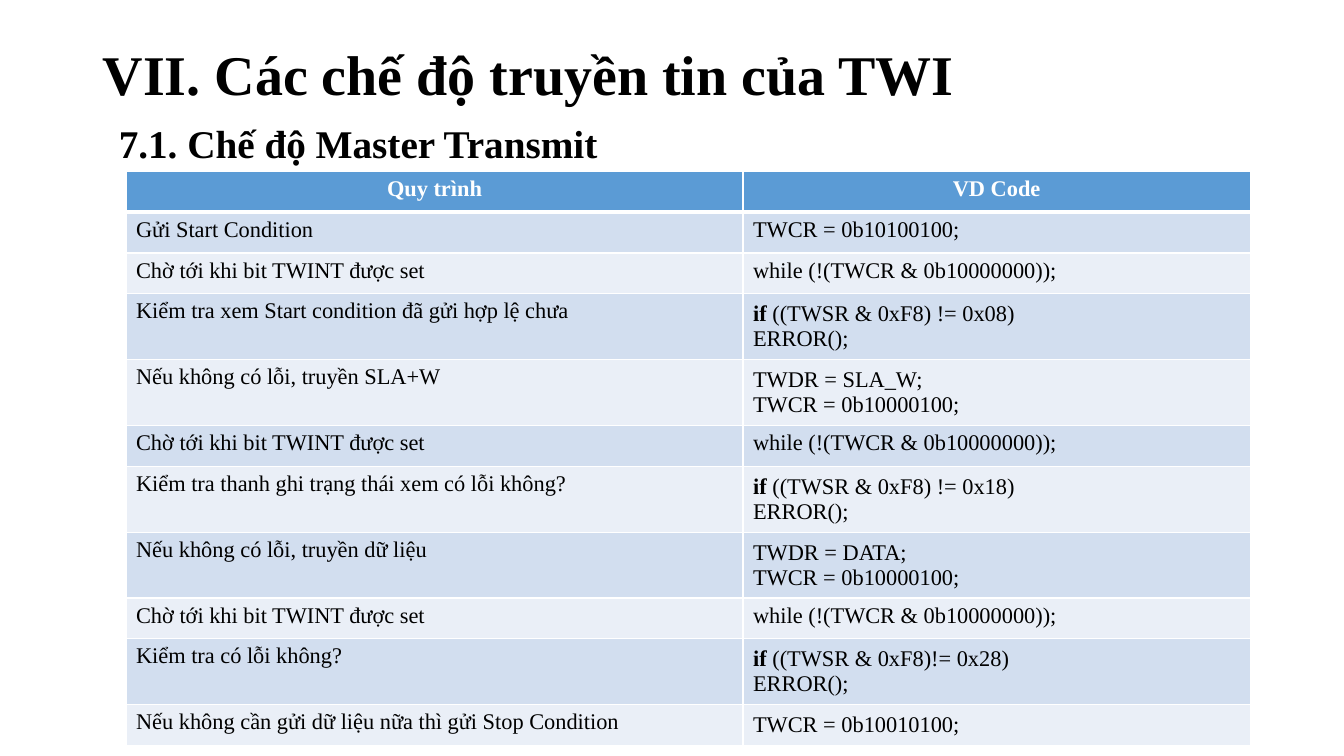
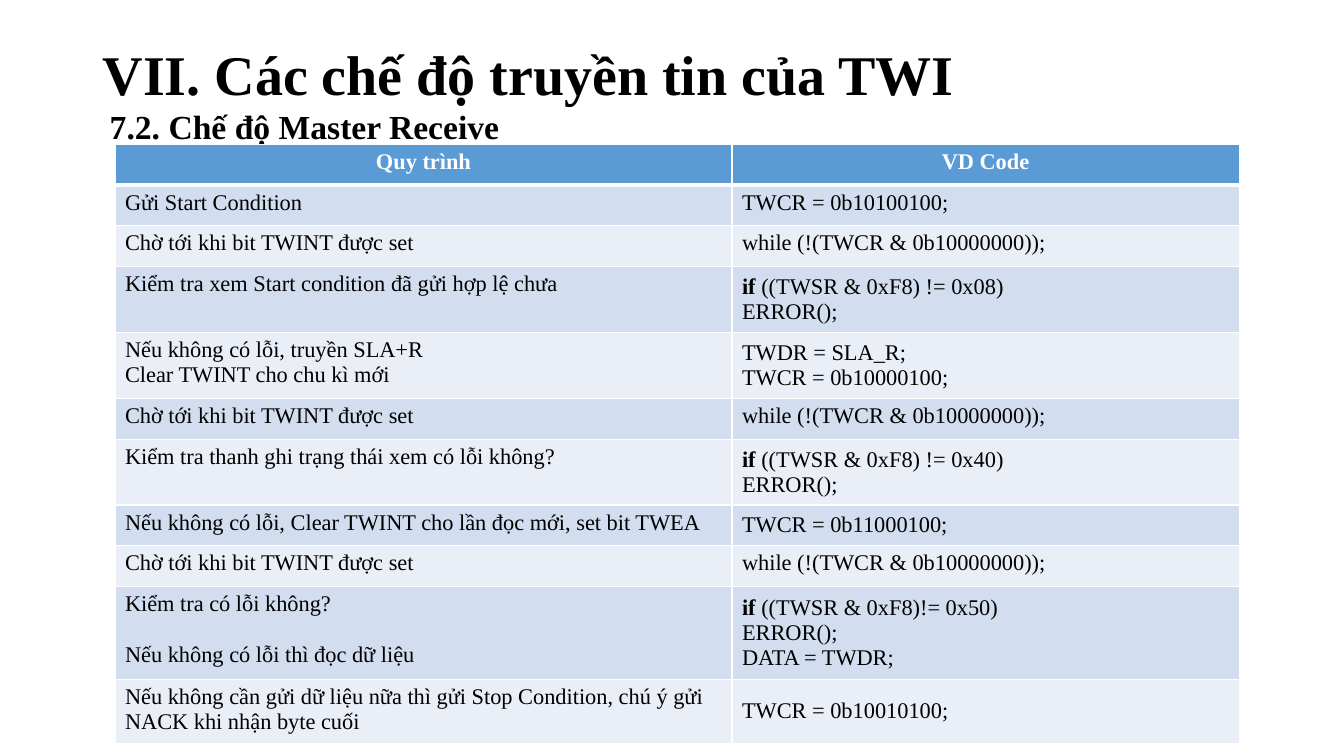
"""Build two slides on the master modes of TWI communication."""
from lxml import etree
from pptx import Presentation
from pptx.dml.color import RGBColor
from pptx.enum.text import MSO_ANCHOR, MSO_AUTO_SIZE, PP_ALIGN
from pptx.oxml.ns import qn
from pptx.util import Inches, Pt

MIDDLE, TOP = MSO_ANCHOR.MIDDLE, MSO_ANCHOR.TOP
LEFT, CENTER = PP_ALIGN.LEFT, PP_ALIGN.CENTER
FIT_SHAPE, NO_FIT = MSO_AUTO_SIZE.SHAPE_TO_FIT_TEXT, MSO_AUTO_SIZE.NONE

FONT = "Times New Roman"
BLACK = RGBColor(0x00, 0x00, 0x00)
WHITE = RGBColor(0xFF, 0xFF, 0xFF)
HEADER_BLUE = RGBColor(0x5B, 0x9B, 0xD5)
BANDS = (RGBColor(0xD2, 0xDE, 0xEF), RGBColor(0xEA, 0xEF, 0xF7))

TITLE_ONLY = 5
TITLE = "VII. Các chế độ truyền tin của TWI"
HEADERS = ("Quy trình", "VD Code")
COLUMN_WIDTHS = (6.12, 5.03)
TABLE_HEIGHT = 4.46
CODE_MARGIN = 0.06
TABLE_SIZE = 16
KEYWORD = "if "

START = ("Gửi Start Condition", "TWCR = 0b10100100;")
WAIT = ("Chờ tới khi bit TWINT được set", "while (!(TWCR & 0b10000000));")
CHECK_START = ("Kiểm tra xem Start condition đã gửi hợp lệ chưa",
               "if ((TWSR & 0xF8) != 0x08)\nERROR();")
CHECK_STATUS = "Kiểm tra thanh ghi trạng thái xem có lỗi không?"
STOP_CODE = "TWCR = 0b10010100;"

TRANSMIT_STEPS = (
    START,
    WAIT,
    CHECK_START,
    ("Nếu không có lỗi, truyền SLA+W", "TWDR = SLA_W;\nTWCR = 0b10000100;"),
    WAIT,
    (CHECK_STATUS, "if ((TWSR & 0xF8) != 0x18)\nERROR();"),
    ("Nếu không có lỗi, truyền dữ liệu", "TWDR = DATA;\nTWCR = 0b10000100;"),
    WAIT,
    ("Kiểm tra có lỗi không?", "if ((TWSR & 0xF8)!= 0x28)\nERROR();"),
    ("Nếu không cần gửi dữ liệu nữa thì gửi Stop Condition", STOP_CODE),
)
READ_DATA = "Nếu không có lỗi thì đọc dữ liệu"
RECEIVE_STEPS = (
    START,
    WAIT,
    CHECK_START,
    ("Nếu không có lỗi, truyền SLA+R\nClear TWINT cho chu kì mới",
     "TWDR = SLA_R;\nTWCR = 0b10000100;"),
    WAIT,
    (CHECK_STATUS, "if ((TWSR & 0xF8) != 0x40)\nERROR();"),
    ("Nếu không có lỗi, Clear TWINT cho lần đọc mới, set bit TWEA",
     "TWCR = 0b11000100;"),
    WAIT,
    ("Kiểm tra có lỗi không?\n" + READ_DATA,
     "if ((TWSR & 0xF8)!= 0x50)\nERROR();\nDATA = TWDR;"),
    ("Nếu không cần gửi dữ liệu nữa thì gửi Stop Condition, "
     "chú ý gửi NACK khi nhận byte cuối", STOP_CODE),
)


def add_run(paragraph, text, size, color=BLACK, bold=False):
    """Append one formatted run."""
    run = paragraph.add_run()
    run.text = text
    run.font.name = FONT
    run.font.size = Pt(size)
    run.font.bold = bold
    run.font.color.rgb = color


def add_title(slide):
    """Place and format the shared title."""
    title = slide.shapes.title
    title.left, title.top = Inches(0.92), Inches(0.4)
    title.width, title.height = Inches(11.81), Inches(0.73)
    frame = title.text_frame
    frame.word_wrap = True
    frame.auto_size = NO_FIT
    frame.vertical_anchor = MIDDLE
    paragraph = frame.paragraphs[0]
    paragraph.alignment = LEFT
    paragraph.line_spacing = 0.9
    add_run(paragraph, TITLE, 40, bold=True)


def add_heading(slide, text, left, top, height, size):
    """Add the section heading above the table."""
    heading = slide.shapes.add_textbox(
        Inches(left), Inches(top), Inches(11.3), Inches(height))
    frame = heading.text_frame
    frame.word_wrap = True
    frame.auto_size = FIT_SHAPE
    add_run(frame.paragraphs[0], text, size, bold=True)


def style_cell(cell, fill, bottom_width=1):
    """Give a cell white borders and a solid fill."""
    properties = cell._tc.get_or_add_tcPr()
    for side, width in (("L", 1), ("R", 1), ("T", 1), ("B", bottom_width)):
        line = etree.SubElement(properties, qn(f"a:ln{side}"), w=str(Pt(width)))
        solid = etree.SubElement(line, qn("a:solidFill"))
        etree.SubElement(solid, qn("a:srgbClr"), val=str(WHITE))
    cell.fill.solid()
    cell.fill.fore_color.rgb = fill


def write_lines(cell, text):
    """Write each line as a paragraph, with a leading keyword in bold."""
    frame = cell.text_frame
    for index, line in enumerate(text.split("\n")):
        paragraph = frame.add_paragraph() if index else frame.paragraphs[0]
        if line == READ_DATA:
            paragraph.space_before = Pt(18.4)
        if line.startswith(KEYWORD):
            add_run(paragraph, KEYWORD, TABLE_SIZE, bold=True)
        add_run(paragraph, line.removeprefix(KEYWORD), TABLE_SIZE)


def add_steps_table(slide, steps, left, top):
    """Add the table that pairs each step with its code."""
    table = slide.shapes.add_table(
        len(steps) + 1, len(HEADERS), Inches(left), Inches(top),
        Inches(sum(COLUMN_WIDTHS)), Inches(TABLE_HEIGHT)).table
    for column, width in enumerate(COLUMN_WIDTHS):
        table.columns[column].width = Inches(width)
        header = table.cell(0, column)
        style_cell(header, HEADER_BLUE, bottom_width=3)
        paragraph = header.text_frame.paragraphs[0]
        paragraph.alignment = CENTER
        add_run(paragraph, HEADERS[column], TABLE_SIZE, WHITE, bold=True)
    for row, step in enumerate(steps, start=1):
        for column, text in enumerate(step):
            cell = table.cell(row, column)
            style_cell(cell, BANDS[(row - 1) % 2])
            cell.vertical_anchor = TOP
            write_lines(cell, text)
        if step not in (START, WAIT):
            code = table.cell(row, 1)
            code.vertical_anchor = MIDDLE
            code.margin_top = code.margin_bottom = Inches(CODE_MARGIN)


def add_mode_slide(presentation, heading, steps, table_at):
    """Add one slide with title, heading and table of steps."""
    slide = presentation.slides.add_slide(presentation.slide_layouts[TITLE_ONLY])
    add_title(slide)
    add_heading(slide, *heading)
    add_steps_table(slide, steps, *table_at)


def main():
    """Build and save the presentation."""
    presentation = Presentation()
    presentation.slide_width = Inches(13.33)
    presentation.slide_height = Inches(7.5)
    add_mode_slide(presentation,
                   ("7.1. Chế độ Master Transmit", 1.08, 1.13, 0.57, 28),
                   TRANSMIT_STEPS, (1.25, 1.7))
    add_mode_slide(presentation,
                   ("7.2. Chế độ Master Receive", 0.99, 1, 0.5, 24),
                   RECEIVE_STEPS, (1.14, 1.43))
    presentation.save("out.pptx")


if __name__ == "__main__":
    main()
